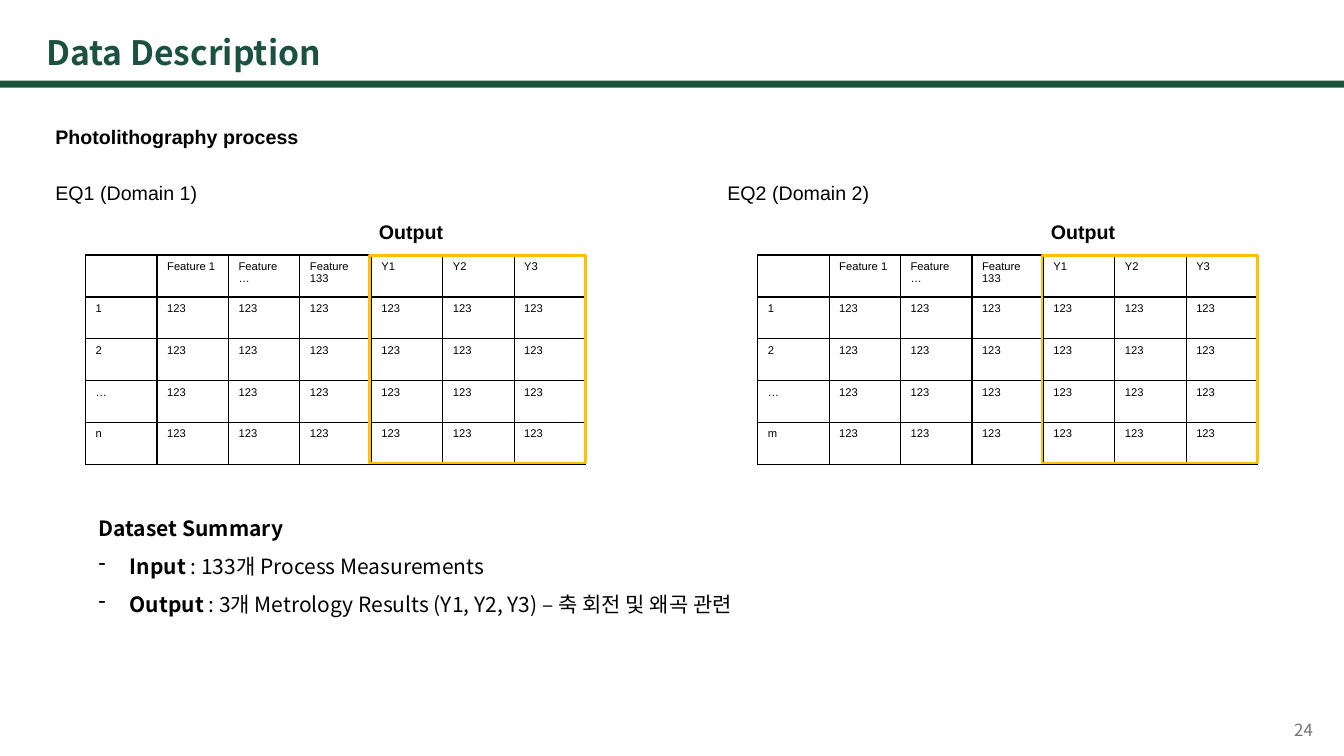
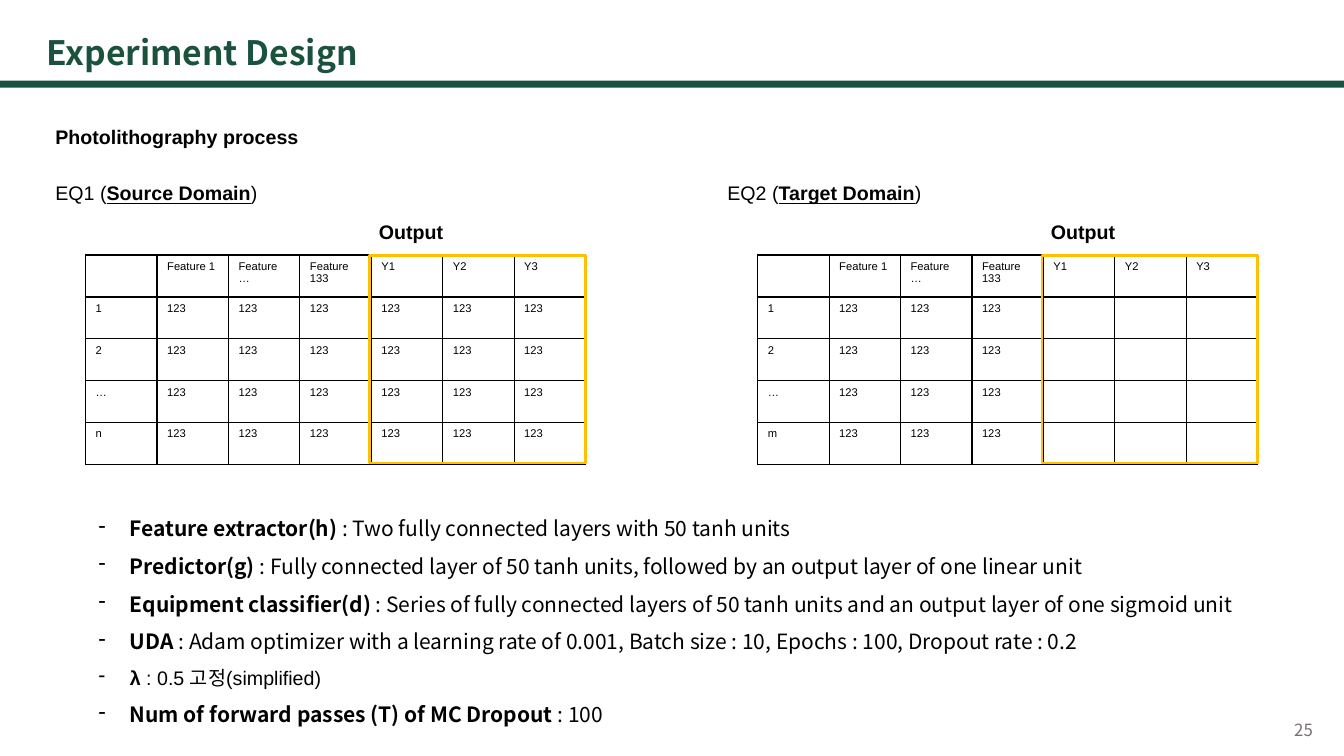
"""Builds the data description and experiment design slides."""
import dataclasses

import lxml.etree
import pptx
import pptx.dml.color
import pptx.enum.shapes
import pptx.oxml.ns
import pptx.util


@dataclasses.dataclass(frozen=True)
class Theme:
    """Colours, fonts and type sizes of the deck."""
    green: str = "1A523E"
    grey: str = "767070"
    ink: str = "000000"
    amber: str = "FFC000"
    heading_font: str = "Noto Sans CJK KR"
    label_font: str = "Arial"
    title_size: int = 24
    body_size: int = 15
    label_size: int = 14
    number_size: int = 12
    cell_size: int = 8
    border: int = 1
    frame: int = 2


@dataclasses.dataclass(frozen=True)
class Span:
    """A stretch of text with its own emphasis."""
    text: str
    bold: bool = False
    underline: bool = False


class Deck:
    """Places styled elements on a grid of 40 columns and 30 rows."""
    columns, rows = 40, 30

    def __init__(self, theme):
        """Opens an empty widescreen presentation."""
        self.theme = theme
        self.presentation = pptx.Presentation()
        self.presentation.slide_width = pptx.util.Inches(13.33)
        self.presentation.slide_height = pptx.util.Inches(7.5)
        self.slide = None

    def area(self, left, top, width, height):
        """Turns grid columns and rows into slide lengths."""
        column = self.presentation.slide_width / self.columns
        row = self.presentation.slide_height / self.rows
        return [round(n) for n in (left * column, top * row, width * column, height * row)]

    def add_spans(self, paragraph, spans, size, font, color):
        """Adds styled runs to a paragraph."""
        for span in spans:
            run = paragraph.add_run()
            run.text = span.text
            run.font.size = pptx.util.Pt(size)
            run.font.name = font
            run.font.bold = span.bold
            run.font.underline = span.underline
            run.font.color.rgb = pptx.dml.color.RGBColor.from_string(color)
            east_asian = lxml.etree.Element(pptx.oxml.ns.qn("a:ea"), typeface=font)
            run.font._element.find(pptx.oxml.ns.qn("a:latin")).addnext(east_asian)

    def frame(self, place, insets=(0.1, 0.05)):
        """Adds a wrapping text box and returns its text frame."""
        text_frame = self.slide.shapes.add_textbox(*self.area(*place)).text_frame
        text_frame.word_wrap = True
        side, top = (pptx.util.Inches(inset) for inset in insets)
        text_frame.margin_left = text_frame.margin_right = side
        text_frame.margin_top = text_frame.margin_bottom = top
        return text_frame

    def rectangle(self, place, fill=None, line=None):
        """Adds a flat rectangle, filled or outlined."""
        shape = self.slide.shapes.add_shape(
            pptx.enum.shapes.MSO_SHAPE.RECTANGLE, *self.area(*place))
        shape.shadow.inherit = False
        if fill:
            shape.fill.solid()
            shape.fill.fore_color.rgb = pptx.dml.color.RGBColor.from_string(fill)
        else:
            shape.fill.background()
        if line:
            shape.line.color.rgb = pptx.dml.color.RGBColor.from_string(line)
            shape.line.width = pptx.util.Pt(self.theme.frame)
        else:
            shape.line.fill.background()

    def start(self, title, number):
        """Opens a slide with its title, band and page number."""
        theme = self.theme
        self.slide = self.presentation.slides.add_slide(self.presentation.slide_layouts[6])
        self.rectangle((0, 3.2, self.columns, 0.28), fill=theme.green)
        heading = self.frame((1.38, 1.24, 19.3, 1.68), (0, 0.01))
        self.add_spans(heading.paragraphs[0], [Span(title, True)],
                       theme.title_size, theme.heading_font, theme.green)
        page = self.frame((38.52, 28.44, 1, 0.92), (0, 0.03))
        self.add_spans(page.paragraphs[0], [Span(str(number))],
                       theme.number_size, theme.heading_font, theme.grey)

    def label(self, left, top, spans):
        """Adds a one-line label."""
        label = self.frame((left, top, 12, 1.36))
        self.add_spans(label.paragraphs[0], spans,
                       self.theme.label_size, self.theme.label_font, self.theme.ink)

    def border(self, cell):
        """Draws all four borders of a table cell."""
        properties = cell._tc.get_or_add_tcPr()
        for side in ("a:lnL", "a:lnR", "a:lnT", "a:lnB"):
            line = lxml.etree.SubElement(properties, pptx.oxml.ns.qn(side),
                                         w=str(pptx.util.Pt(self.theme.border)))
            fill = lxml.etree.SubElement(line, pptx.oxml.ns.qn("a:solidFill"))
            lxml.etree.SubElement(fill, pptx.oxml.ns.qn("a:srgbClr"), val=self.theme.ink)

    def table(self, place, records):
        """Adds a bordered table of evenly sized cells."""
        table = self.slide.shapes.add_table(
            len(records), len(records[0]), *self.area(*place)).table
        table.first_row = table.horz_banding = False
        for r, record in enumerate(records):
            for c, value in enumerate(record):
                cell = table.cell(r, c)
                self.border(cell)
                cell.fill.background()
                if value:
                    self.add_spans(cell.text_frame.paragraphs[0], [Span(value)],
                                   self.theme.cell_size, self.theme.label_font,
                                   self.theme.ink)

    def equipment(self, offset, domain, last, measured=True):
        """Shows the data of one equipment with its outputs framed."""
        self.label(1.35 + offset, 7, domain)
        header = ["", "Feature 1", "Feature …", "Feature 133", "Y1", "Y2", "Y3"]
        outputs = ["123" if measured else ""] * 3
        records = [[index] + ["123"] * 3 + outputs for index in ("1", "2", "…", last)]
        self.table((2.55 + offset, 10.12, 14.88, 8.32), [header] + records)
        self.rectangle((11.01 + offset, 10.14, 6.42, 8.24), line=self.theme.amber)
        self.label(10.98 + offset, 8.52, [Span("Output", True)])

    def bullet(self, paragraph):
        """Gives a paragraph a hanging dash."""
        properties = paragraph._p.get_or_add_pPr()
        indent = pptx.util.Inches(0.31)
        properties.set("marL", str(indent))
        properties.set("indent", str(-indent))
        color = lxml.etree.SubElement(properties, pptx.oxml.ns.qn("a:buClr"))
        lxml.etree.SubElement(color, pptx.oxml.ns.qn("a:srgbClr"), val=self.theme.ink)
        lxml.etree.SubElement(properties, pptx.oxml.ns.qn("a:buChar"), char="-")

    def summary(self, height, items, heading=None, small=()):
        """Lists terms with their details below the tables."""
        theme = self.theme
        body = self.frame((2.64, 19.76, 34.74, height))
        lines = [(heading, None)] if heading else []
        for position, (term, detail) in enumerate(lines + items):
            paragraph = body.add_paragraph() if position else body.paragraphs[0]
            paragraph.line_spacing = 1.5
            spans = [Span(term, True)]
            if detail:
                self.bullet(paragraph)
                spans.append(Span(detail))
            if term in small:
                size, font = theme.label_size, theme.label_font
            else:
                size, font = theme.body_size, theme.heading_font
            self.add_spans(paragraph, spans, size, font, theme.ink)


def main():
    """Builds both slides and saves the deck."""
    deck = Deck(Theme())
    half = deck.columns / 2
    process = [Span("Photolithography process", True)]

    deck.start("Data Description", 24)
    deck.label(1.35, 4.76, process)
    deck.equipment(0, [Span("EQ1 (Domain 1)")], "n")
    deck.equipment(half, [Span("EQ2 (Domain 2)")], "m")
    deck.summary(4.96, [
        ("Input ", ": 133개 Process Measurements"),
        ("Output", " : 3개 Metrology Results (Y1, Y2, Y3) – 축 회전 및 왜곡 관련"),
    ], heading="Dataset Summary")

    deck.start("Experiment Design", 25)
    deck.label(1.35, 4.76, process)
    deck.equipment(0, [Span("EQ1 ("), Span("Source Domain", True, True), Span(")")], "n")
    deck.equipment(half, [Span("EQ2 ("), Span("Target Domain", True, True), Span(")")],
                   "m", measured=False)
    deck.summary(9.4, [
        ("Feature extractor(h) ", ": Two fully connected layers with 50 tanh units"),
        ("Predictor(g) ", ": Fully connected layer of 50 tanh units, "
                          "followed by an output layer of one linear unit"),
        ("Equipment classifier(d) ", ": Series of fully connected layers of 50 tanh units "
                                     "and an output layer of one sigmoid unit"),
        ("UDA ", ": Adam optimizer with a learning rate of 0.001, "
                 "Batch size : 10, Epochs : 100, Dropout rate : 0.2"),
        ("λ ", ": 0.5 고정(simplified)"),
        ("Num of forward passes (T) of MC Dropout ", ": 100"),
    ], small=("λ ",))

    deck.presentation.save("out.pptx")


if __name__ == "__main__":
    main()
